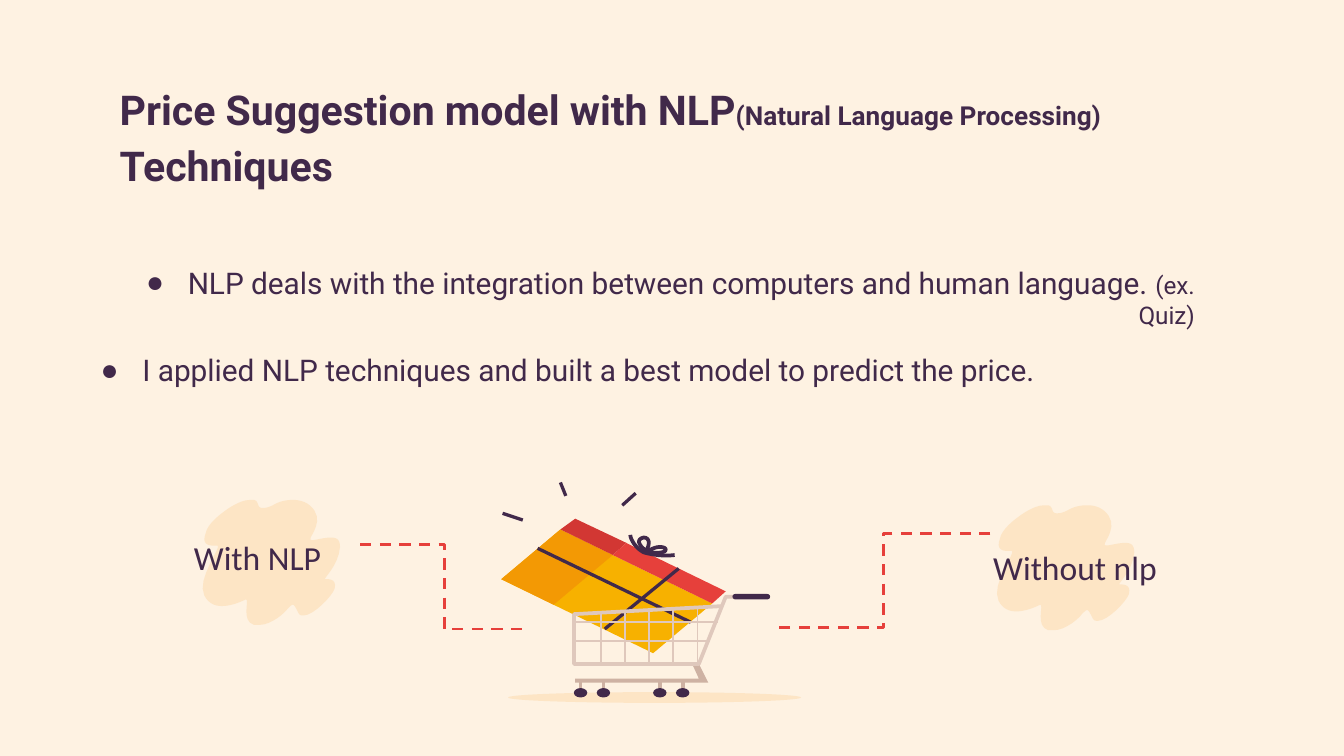
from lxml import etree
from pptx import Presentation
from pptx.dml.color import RGBColor
from pptx.enum.dml import MSO_LINE
from pptx.enum.shapes import MSO_CONNECTOR, MSO_SHAPE
from pptx.enum.text import MSO_ANCHOR, MSO_AUTO_SIZE, PP_ALIGN
from pptx.oxml.ns import qn
from pptx.util import Inches, Pt

STRAIGHT, ELBOW = MSO_CONNECTOR.STRAIGHT, MSO_CONNECTOR.ELBOW
OVAL, ROUNDED = MSO_SHAPE.OVAL, MSO_SHAPE.ROUNDED_RECTANGLE
LEFT, RIGHT = PP_ALIGN.LEFT, PP_ALIGN.RIGHT
TOP, MIDDLE = MSO_ANCHOR.TOP, MSO_ANCHOR.MIDDLE

HEX = {
    "background": "FEF2E2", "blob": "FDE5C5", "ink": "41294A",
    "red": "E6403B", "dark red": "D23733", "yellow": "F7B100",
    "orange": "F39904", "cart": "DFC8BC", "chassis": "CEB2A3",
}
COLORS = {name: RGBColor.from_string(value) for name, value in HEX.items()}


def bezier(points, steps=8):
    """Sample chained cubic curves: a start point, then three points per curve."""
    sampled = [points[0]]
    for first in range(0, len(points) - 1, 3):
        a, b, c, d = points[first:first + 4]
        for step in range(1, steps + 1):
            t = step / steps
            u = 1 - t
            sampled.append(tuple(
                u**3 * a[i] + 3 * u * u * t * b[i] + 3 * u * t * t * c[i] + t**3 * d[i]
                for i in (0, 1)))
    return sampled


def outline(points, color, width=None):
    """Draw a filled polygon, or an open stroke when a width is given."""
    corners = [(Inches(x), Inches(y)) for x, y in points]
    builder = page.shapes.build_freeform(*corners[0])
    builder.add_line_segments(corners[1:], close=width is None)
    shape = builder.convert_to_shape()
    shape.shadow.inherit = False
    if width is None:
        shape.fill.solid()
        shape.fill.fore_color.rgb = COLORS[color]
        shape.line.fill.background()
    else:
        shape.fill.background()
        shape.line.color.rgb = COLORS[color]
        shape.line.width = Pt(width)


deck = Presentation()
deck.slide_width, deck.slide_height = Inches(10), Inches(10 * 9 / 16)
page = deck.slides.add_slide(deck.slide_layouts[3])
page.background.fill.solid()
page.background.fill.fore_color.rgb = COLORS["background"]

# Blobs behind the two labels
blob = [
    (1.86, 3.72), (1.77, 3.72), (1.65, 3.82), (1.65, 3.82),
    (1.65, 3.82), (1.54, 3.9), (1.53, 3.97), (1.5, 4.05), (1.55, 4.06), (1.59, 4.06),
    (1.6, 4.06), (1.61, 4.06), (1.62, 4.06), (1.65, 4.07), (1.46, 4.31), (1.52, 4.43),
    (1.55, 4.49), (1.6, 4.51), (1.65, 4.51), (1.72, 4.51), (1.79, 4.48), (1.83, 4.46),
    (1.86, 4.46), (1.79, 4.62), (1.89, 4.65), (1.9, 4.65), (1.92, 4.65), (1.93, 4.65),
    (2.02, 4.65), (2.12, 4.56), (2.14, 4.53), (2.16, 4.51), (2.17, 4.5), (2.18, 4.5),
    (2.19, 4.5), (2.2, 4.52), (2.22, 4.56), (2.23, 4.58), (2.24, 4.58), (2.26, 4.58),
    (2.33, 4.58), (2.47, 4.44), (2.49, 4.38), (2.51, 4.3), (2.43, 4.31), (2.42, 4.31),
    (2.4, 4.31), (2.52, 4.21), (2.53, 4.07), (2.53, 4.01), (2.5, 4), (2.46, 4),
    (2.41, 4), (2.35, 4.02), (2.32, 4.02), (2.27, 4.02), (2.41, 3.91), (2.34, 3.8),
    (2.3, 3.74), (2.24, 3.72), (2.18, 3.72), (2.13, 3.72), (2.08, 3.73), (2.03, 3.76),
    (1.99, 3.78), (1.97, 3.78), (1.95, 3.78), (1.91, 3.78), (1.93, 3.73), (1.89, 3.72),
    (1.88, 3.72), (1.87, 3.72), (1.86, 3.72),
]
for right, down in [(0, 0), (5.91, 0.04)]:
    outline([(x + right, y + down) for x, y in bezier(blob)], "blob")

ground = page.shapes.add_shape(OVAL, Inches(3.78), Inches(5.15), Inches(2.18), Inches(0.08))

# Gift box and its bow
for color, corners in [
    ("yellow", [(4.17, 3.94), (3.73, 4.31), (4.86, 4.86), (5.3, 4.49)]),
    ("orange", [(4.17, 3.94), (3.73, 4.31), (4.12, 4.5), (4.56, 4.13)]),
    ("dark red", [(4.28, 3.86), (4.17, 3.94), (4.56, 4.13), (4.66, 4.04)]),
    ("red", [(4.66, 4.04), (4.56, 4.13), (5.3, 4.49), (5.4, 4.4)]),
]:
    outline(corners, color)
for curve in [
    [(4.69, 3.98), (4.69, 4.01), (4.73, 4.08), (4.79, 4.11),
     (4.86, 4.13), (4.94, 4.14), (5.02, 4.13)],
    [(4.81, 4.1), (4.74, 4.05), (4.74, 4.01), (4.79, 4),
     (4.83, 4), (4.84, 4.04), (4.81, 4.1)],
    [(4.81, 4.11), (4.86, 4.07), (4.92, 4.06), (4.95, 4.08),
     (4.97, 4.11), (4.91, 4.12), (4.81, 4.11)],
]:
    outline(bezier(curve), "ink", 2)

# Ribbon, sparks, cart legs, basket grid and dashed links
wheel_centers = [4.32, 4.49, 4.91, 5.08]
lines = [(STRAIGHT, ends, "ink", 1.75) for ends in [
    (4, 4.08, 5.14, 4.63), (5.05, 4.23, 4.5, 4.68),
    (4.17, 3.59, 4.21, 3.69), (3.74, 3.82, 3.89, 3.87), (4.73, 3.67, 4.63, 3.76)]]
lines += [(STRAIGHT, (x, 5.06, x, 5.15), "chassis", 2) for x in wheel_centers]
lines += [(STRAIGHT, (4.47 + 0.18 * i, 4.55 - 0.01 * i, 4.47 + 0.18 * i, 4.94), "cart", 1)
          for i in range(5)]
lines += [(STRAIGHT, ends, "cart", 1)
          for ends in [(4.27, 4.63, 5.34, 4.63), (4.27, 4.77, 5.28, 4.77)]]
lines += [(ELBOW, ends, "red", 1.5)
          for ends in [(2.68, 4.05, 3.93, 4.68), (7.37, 3.97, 5.78, 4.67)]]
for kind, ends, color, width in lines:
    connector = page.shapes.add_connector(kind, *map(Inches, ends))
    connector.line.color.rgb = COLORS[color]
    connector.line.width = Pt(width)
    if kind == ELBOW:
        connector.line.dash_style = MSO_LINE.DASH
    etree.SubElement(connector._element.spPr, qn("a:effectLst"))

# Cart
outline([(5.15, 4.94), (5.2, 4.94), (5.27, 5.08), (4.28, 5.08), (4.28, 5.05), (5.2, 5.05)],
        "chassis")
outline([(5.38, 4.51), (4.27, 4.57), (4.27, 4.94), (5.2, 4.94), (5.4, 4.44), (5.48, 4.44)],
        "cart", 2)
handle = page.shapes.add_shape(ROUNDED, Inches(5.45), Inches(4.42), Inches(0.28), Inches(0.04))
handle.adjustments[0] = 0.5
wheels = [page.shapes.add_shape(OVAL, Inches(x - 0.05), Inches(5.12), Inches(0.1), Inches(0.07))
          for x in wheel_centers]
for shape, color in [(ground, "blob"), (handle, "ink")] + [(wheel, "ink") for wheel in wheels]:
    shape.shadow.inherit = False
    shape.fill.solid()
    shape.fill.fore_color.rgb = COLORS[color]
    shape.line.fill.background()

# Title, two bullets and two labels
title, first_point, second_point = page.placeholders
with_label, without_label = [page.shapes.add_textbox(0, 0, 0, 0) for _ in range(2)]
texts = [
    (title, (0.79, 0.47, 8.86, 0.7), (0.1, 0.1, 0.1), TOP, LEFT, "Roboto", 1.15,
     [("Price Suggestion model with NLP", 22), ("(Natural Language Processing) ", 14),
      ("Techniques", 22)]),
    (first_point, (0.64, 1.87, 8.35, 0.8), (0.2, 0.1, 0.1), TOP, RIGHT, "Roboto", 1,
     [("NLP deals with the integration between computers and human language. ", 16),
      ("(ex. Quiz)", 13)]),
    (second_point, (0.14, 2.57, 7.66, 0.37), (0.1, 0.1, 0.05), TOP, RIGHT, "Roboto", 1,
     [("I applied NLP techniques and built a best model to predict the price.", 16)]),
    (with_label, (0.51, 3.72, 2.08, 0.8), (0.1, 0.2, 0.1), MIDDLE, RIGHT, "Calibri", 1.15,
     [("With NLP", 18)]),
    (without_label, (7.19, 3.8, 2.08, 0.8), (0.2, 0.1, 0.1), MIDDLE, LEFT, "Calibri", 1.15,
     [("Without nlp", 18)]),
]
for box, place, insets, anchor, alignment, font, spacing, spans in texts:
    box.left, box.top, box.width, box.height = map(Inches, place)
    frame = box.text_frame
    frame.word_wrap = True
    frame.auto_size = MSO_AUTO_SIZE.NONE
    frame.vertical_anchor = anchor
    frame.margin_left, frame.margin_right, frame.margin_top = map(Inches, insets)
    frame.margin_bottom = frame.margin_top
    paragraph = frame.paragraphs[0]
    if box in (first_point, second_point):
        properties = paragraph._p.get_or_add_pPr()
        properties.set("marL", str(Inches(0.31)))
        properties.set("indent", str(Inches(-0.31)))
        bullet_color = etree.SubElement(properties, qn("a:buClr"))
        etree.SubElement(bullet_color, qn("a:srgbClr"), val=HEX["ink"])
        etree.SubElement(properties, qn("a:buChar"), char="●")
    paragraph.alignment = alignment
    paragraph.line_spacing = spacing
    paragraph.space_before, paragraph.space_after = Pt(0), Pt(16)
    paragraph.font.name = font
    paragraph.font.bold = box is title
    paragraph.font.color.rgb = COLORS["ink"]
    for text, size in spans:
        span = paragraph.add_run()
        span.text = text
        span.font.size = Pt(size)

deck.save("out.pptx")
